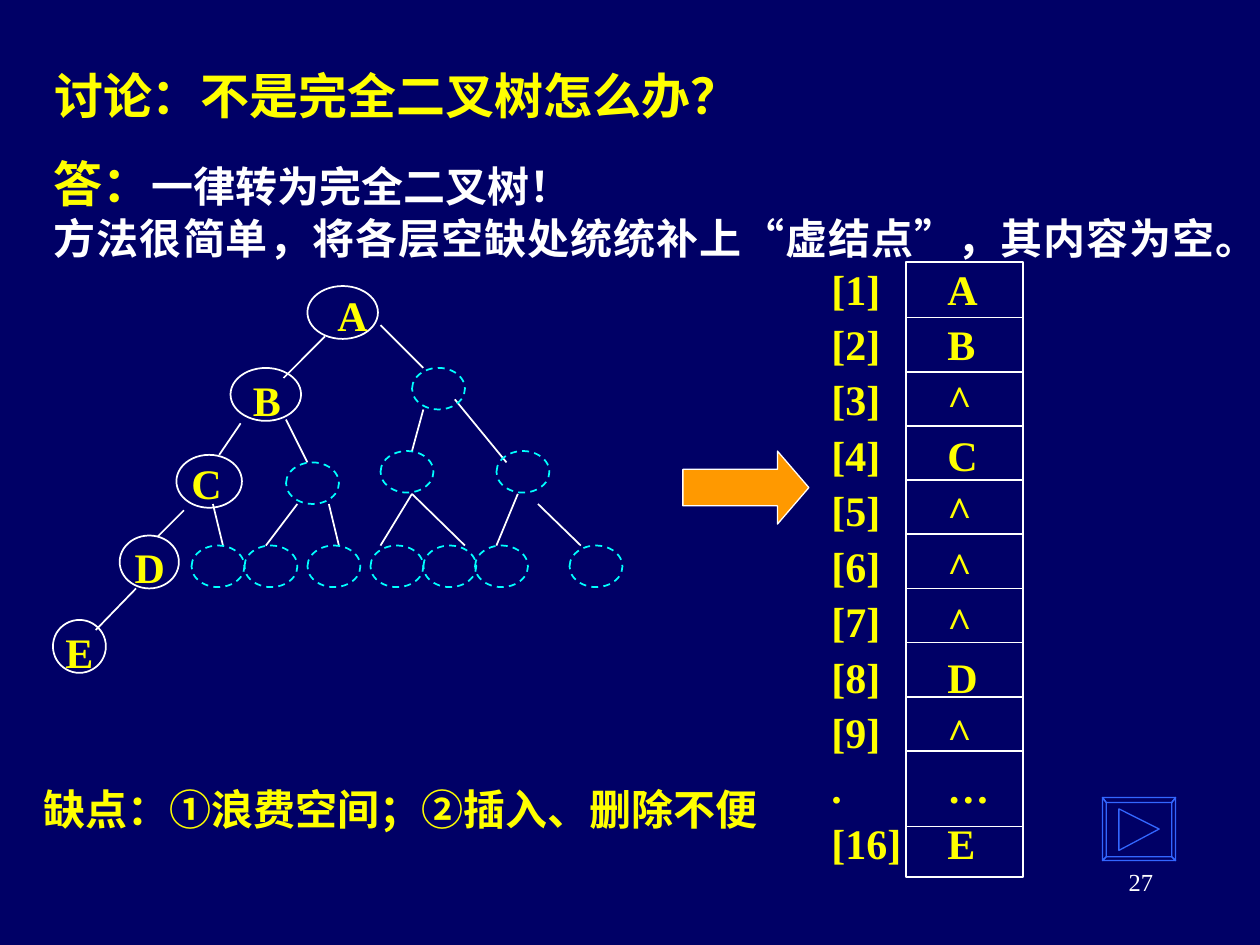
from dataclasses import dataclass

from lxml.etree import SubElement
from pptx import Presentation
from pptx.dml.color import RGBColor
from pptx.enum.dml import MSO_LINE
from pptx.enum.shapes import MSO_CONNECTOR, MSO_SHAPE
from pptx.enum.text import MSO_ANCHOR, MSO_AUTO_SIZE, PP_ALIGN
from pptx.oxml.ns import qn
from pptx.util import Inches, Pt


@dataclass(frozen=True)
class Theme:
    background: str = "000066"
    accent: str = "FFFF00"
    plain: str = "FFFFFF"
    virtual: str = "00FFFF"
    arrow: str = "FF9900"
    button: str = "3366FF"
    latin: str = "Times New Roman"
    chinese: str = "Noto Sans CJK SC"
    heading: int = 28
    body: int = 24
    number: int = 14


THEME = Theme()

TITLE = [("讨论：", THEME.latin), ("不是完全二叉树怎么办？", THEME.chinese)]
# Each run: text, font, size, colour
ANSWER = [
    [("答：", THEME.chinese, THEME.heading, THEME.accent),
     ("一律转为完全二叉树！", THEME.chinese, THEME.body, THEME.plain)],
    [(text, font, THEME.body, THEME.plain) for text, font in (
        ("方法很简单，将各层空缺处统统补上", THEME.chinese),
        ("“", THEME.latin),
        ("虚结点", THEME.chinese),
        ("”", THEME.latin),
        ("，其内容为空。", THEME.chinese))],
]
DRAWBACK = "缺点：①浪费空间；②插入、删除不便"
PAGE_NUMBER = "27"

INDEXES = [f"[{number}]" for number in range(1, 10)] + [".", "[16]"]
VALUES = ["A", "B", "^", "C", "^", "^", "^", "D", "^", "…", "E"]
ARRAY_LEFT, ARRAY_TOP, ARRAY_WIDTH, ARRAY_HEIGHT = 7.19, 2.08, 0.93, 4.88
ROW_HEIGHT = 0.43
SEPARATORS = [2.52 + ROW_HEIGHT * row for row in range(9)] + [6.56]

# Node: left, top, width, then left and top of its letter
NODES = {
    "A": (2.44, 2.27, 0.56, 2.58, 2.25),
    "B": (1.83, 2.92, 0.56, 1.91, 2.92),
    "C": (1.40, 3.61, 0.52, 1.42, 3.58),
    "D": (0.95, 4.25, 0.47, 0.97, 4.25),
    "E": (0.42, 4.92, 0.42, 0.42, 4.92),
}
NODE_HEIGHT = 0.42
# Top of a row: left edges of its virtual nodes
VIRTUAL_NODES = {
    2.92: [3.27],
    3.58: [3.02, 3.94],
    3.67: [2.27],
    4.33: [1.52, 1.94, 2.44, 2.94, 3.36, 3.77, 4.52],
}
VIRTUAL_WIDTH, VIRTUAL_HEIGHT = 0.42, 0.33
EDGES = [
    (2.58, 2.67, 2.25, 3.00), (3.02, 2.58, 3.36, 2.92),
    (1.91, 3.36, 1.74, 3.61), (2.27, 3.33, 2.44, 3.67),
    (3.36, 3.25, 3.27, 3.58), (3.61, 3.17, 4.02, 3.67),
    (1.46, 4.05, 1.25, 4.26), (1.69, 4.00, 1.77, 4.33),
    (2.36, 4.00, 2.11, 4.33), (2.61, 4.00, 2.69, 4.33),
    (3.27, 3.92, 3.02, 4.33), (3.27, 3.92, 3.69, 4.33),
    (4.11, 3.92, 3.94, 4.33), (4.27, 4.00, 4.61, 4.33),
    (1.08, 4.67, 0.76, 5.00),
]

# Button corners in hundredths of an inch, clockwise from top left
BUTTON_OUTER = [(875, 633), (933, 633), (933, 683), (875, 683)]
BUTTON_INNER = [(878, 637), (930, 637), (930, 680), (878, 680)]
BUTTON_TRIANGLE = [(888, 642), (920, 658), (888, 675)]


def color(value):
    return RGBColor.from_string(value)


def add_run(paragraph, text, font=THEME.latin, size=THEME.body, tint=THEME.accent, bold=True):
    run = paragraph.add_run()
    run.text = text
    run.font.name = font
    run.font.size = Pt(size)
    run.font.bold = bold
    run.font.color.rgb = color(tint)
    SubElement(run.font._element, qn("a:ea")).set("typeface", THEME.chinese)


def add_text(slide, box, paragraphs, wrap=False, align=PP_ALIGN.LEFT, spacing=1.0, bold=True):
    """Add a text box; each paragraph is a list of run tuples."""
    frame = slide.shapes.add_textbox(*map(Inches, box)).text_frame
    frame.word_wrap = wrap
    frame.auto_size = MSO_AUTO_SIZE.SHAPE_TO_FIT_TEXT
    for position, runs in enumerate(paragraphs):
        paragraph = frame.add_paragraph() if position else frame.paragraphs[0]
        paragraph.alignment = align
        paragraph.line_spacing = spacing
        for run in runs:
            add_run(paragraph, *run, bold=bold)


def style_shape(shape, tint, width=1, fill=None):
    shape.shadow.inherit = False
    if fill:
        shape.fill.solid()
        shape.fill.fore_color.rgb = color(fill)
    else:
        shape.fill.background()
    shape.line.color.rgb = color(tint)
    shape.line.width = Pt(width)


def add_outline(slide, kind, box, tint=THEME.plain):
    shape = slide.shapes.add_shape(kind, *map(Inches, box))
    style_shape(shape, tint)
    return shape


def add_line(slide, ends):
    line = slide.shapes.add_connector(MSO_CONNECTOR.STRAIGHT, *map(Inches, ends))
    line.line.color.rgb = color(THEME.plain)
    line.line.width = Pt(1)
    SubElement(line._element.spPr, qn("a:effectLst"))


def add_title(slide):
    title = slide.shapes.title
    title.left, title.top, title.width, title.height = map(Inches, (0.33, 0.42, 7.25, 0.67))
    frame = title.text_frame
    frame.auto_size = MSO_AUTO_SIZE.NONE
    frame.vertical_anchor = MSO_ANCHOR.MIDDLE
    frame.paragraphs[0].alignment = PP_ALIGN.LEFT
    for text, font in TITLE:
        add_run(frame.paragraphs[0], text, font, THEME.heading)


def add_array(slide):
    add_outline(slide, MSO_SHAPE.RECTANGLE, (ARRAY_LEFT, ARRAY_TOP, ARRAY_WIDTH, ARRAY_HEIGHT))
    for y in SEPARATORS:
        add_line(slide, (ARRAY_LEFT, y, ARRAY_LEFT + ARRAY_WIDTH, y))
    for left, width, entries in ((6.5, 0.76, INDEXES), (7.42, 0.54, VALUES)):
        add_text(slide, (left, 2, width, 4.94), [[(entry,)] for entry in entries], spacing=1.1)


def add_tree(slide):
    for edge in EDGES:
        add_line(slide, edge)
    for letter, (left, top, width, text_left, text_top) in NODES.items():
        add_outline(slide, MSO_SHAPE.OVAL, (left, top, width, NODE_HEIGHT))
        add_text(slide, (text_left, text_top, 0.44, 0.5), [[(letter,)]])
    for top, lefts in VIRTUAL_NODES.items():
        for left in lefts:
            box = (left, top, VIRTUAL_WIDTH, VIRTUAL_HEIGHT)
            node = add_outline(slide, MSO_SHAPE.OVAL, box, THEME.virtual)
            node.line.dash_style = MSO_LINE.DASH


def add_button(slide):
    bevels = [
        [BUTTON_OUTER[side], BUTTON_OUTER[(side + 1) % 4],
         BUTTON_INNER[(side + 1) % 4], BUTTON_INNER[side]]
        for side in range(4)
    ]
    builder = slide.shapes.build_freeform(*BUTTON_OUTER[0], scale=Inches(0.01))
    builder.add_line_segments(BUTTON_OUTER[1:], close=True)
    for outline in bevels + [BUTTON_TRIANGLE]:
        builder.move_to(*outline[0])
        builder.add_line_segments(outline[1:], close=True)
    style_shape(builder.convert_to_shape(), THEME.button, 0.75)


def main():
    presentation = Presentation()
    presentation.slide_width, presentation.slide_height = Inches(10), Inches(7.5)
    slide = presentation.slides.add_slide(presentation.slide_layouts[5])
    slide.background.fill.solid()
    slide.background.fill.fore_color.rgb = color(THEME.background)

    add_title(slide)
    add_text(slide, (0.33, 1.17, 9.42, 0.97), ANSWER, wrap=True, align=PP_ALIGN.JUSTIFY)
    add_array(slide)
    add_tree(slide)
    arrow = slide.shapes.add_shape(MSO_SHAPE.RIGHT_ARROW, *map(Inches, (5.42, 3.58, 1, 0.58)))
    arrow.adjustments[1] = 0.43
    style_shape(arrow, THEME.plain, 0.75, THEME.arrow)
    add_text(slide, (0.25, 6.17, 6.08, 0.9), [[(DRAWBACK, THEME.chinese)]], wrap=True)
    add_button(slide)
    add_text(slide, (7.17, 6.83, 2.08, 0.5),
             [[(PAGE_NUMBER, THEME.latin, THEME.number, THEME.plain)]],
             wrap=True, align=PP_ALIGN.RIGHT, bold=False)
    presentation.save("out.pptx")


if __name__ == "__main__":
    main()
